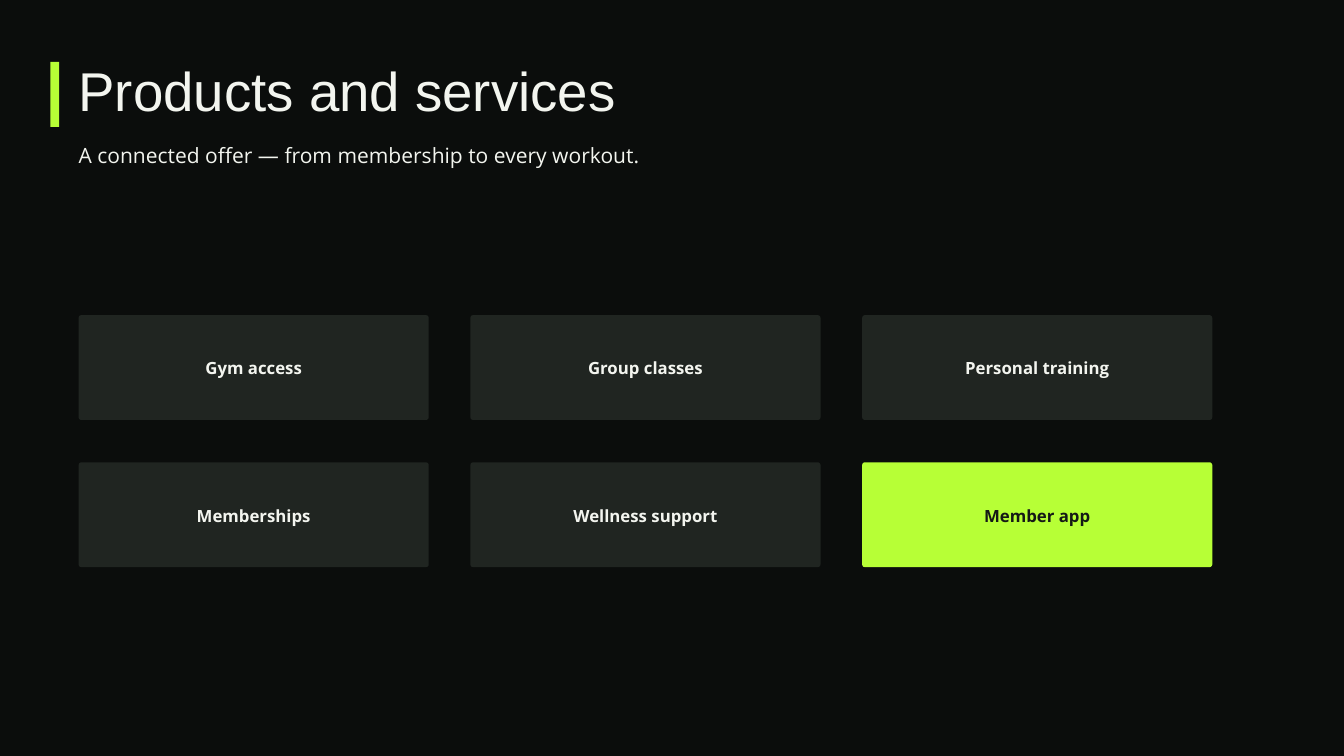
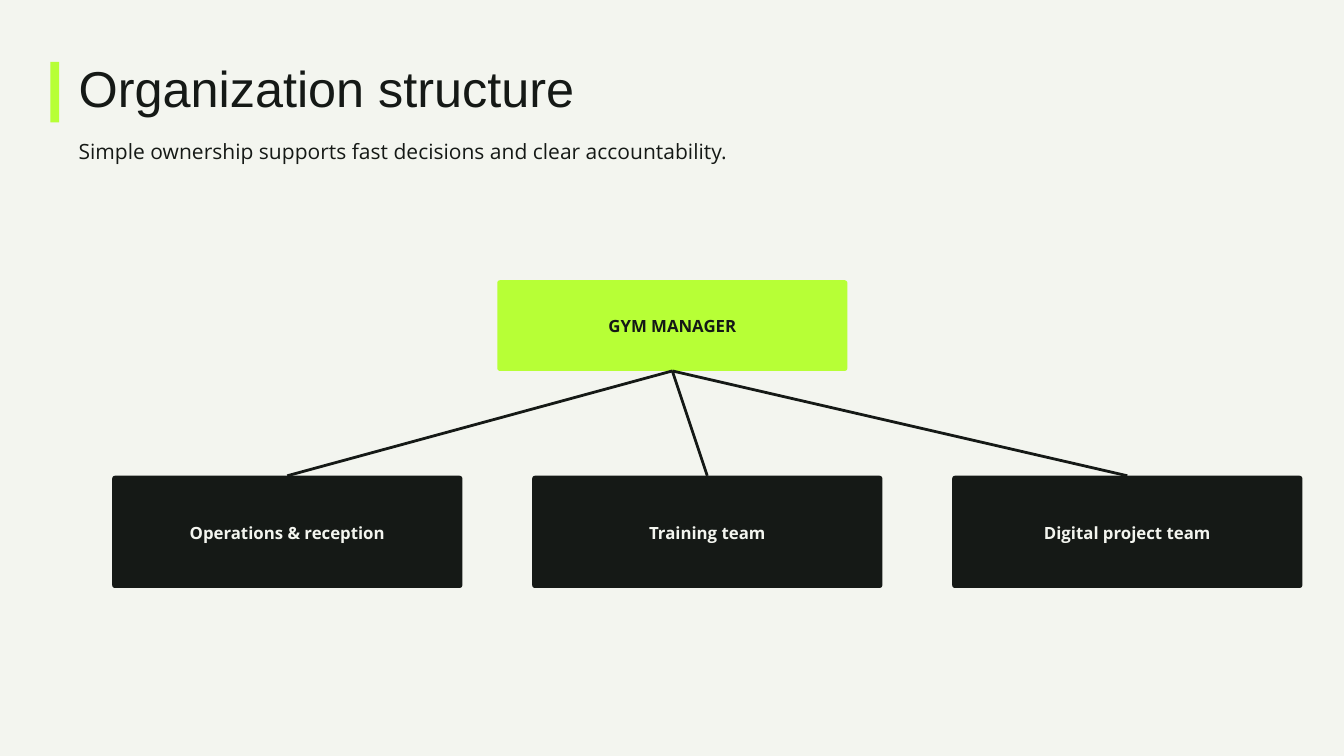
"""Build the gym's offer and organization slides."""
from dataclasses import dataclass

from lxml.etree import SubElement
from pptx import Presentation
from pptx.dml.color import RGBColor
from pptx.enum.shapes import MSO_CONNECTOR, MSO_SHAPE
from pptx.enum.text import MSO_ANCHOR, MSO_AUTO_SIZE, PP_ALIGN
from pptx.oxml.ns import qn
from pptx.shapes.autoshape import Shape
from pptx.slide import Slide
from pptx.text.text import TextFrame
from pptx.util import Inches, Pt

COLORS = {
    "night": "0B0D0C",
    "ink": "151916",
    "slate": "202521",
    "paper": "F3F5EF",
    "lime": "B7FF36",
}
TITLE_FONT = "Arial"
BODY_FONT = "Open Sans"
MARGIN = 1.17
CARD_WIDTH = 5.21
CORNER = 0.04


@dataclass(frozen=True)
class Heading:
    title: str
    subtitle: str
    color: str
    size: float
    leading: float
    title_top: float
    title_height: float
    subtitle_top: float
    accent_height: float


@dataclass(frozen=True)
class Card:
    label: str
    left: float
    top: float
    height: float
    fill: str
    color: str


def rgb(name: str) -> RGBColor:
    return RGBColor.from_string(COLORS[name])


def write(frame: TextFrame, text: str, *, size: float, leading: float, color: str,
          font: str = BODY_FONT, bold: bool = False,
          align: PP_ALIGN = PP_ALIGN.LEFT) -> None:
    frame.word_wrap = True
    paragraph = frame.paragraphs[0]
    paragraph.alignment = align
    paragraph.line_spacing = Pt(leading)
    run = paragraph.add_run()
    run.text = text
    run.font.name = font
    run.font.size = Pt(size)
    run.font.bold = bold
    run.font.color.rgb = rgb(color)


def set_insets(frame: TextFrame, side: float, top: float, bottom: float) -> None:
    frame.margin_left = frame.margin_right = Inches(side)
    frame.margin_top = Inches(top)
    frame.margin_bottom = Inches(bottom)


def add_block(slide: Slide, preset: MSO_SHAPE, left: float, top: float,
              width: float, height: float, fill: str) -> Shape:
    block = slide.shapes.add_shape(
        preset, Inches(left), Inches(top), Inches(width), Inches(height))
    block.shadow.inherit = False
    block.fill.solid()
    block.fill.fore_color.rgb = rgb(fill)
    block.line.fill.background()
    return block


def add_line_of_text(slide: Slide, text: str, top: float, width: float, height: float,
                     **style) -> None:
    frame = slide.shapes.add_textbox(
        Inches(MARGIN), Inches(top), Inches(width), Inches(height)).text_frame
    set_insets(frame, 0, 0, 0)
    frame.auto_size = MSO_AUTO_SIZE.SHAPE_TO_FIT_TEXT
    write(frame, text, **style)


def add_slide(deck: Presentation, background: str, heading: Heading) -> Slide:
    slide = deck.slides.add_slide(deck.slide_layouts[6])
    slide.background.fill.solid()
    slide.background.fill.fore_color.rgb = rgb(background)
    add_line_of_text(slide, heading.title, heading.title_top, 15.62, heading.title_height,
                     size=heading.size, leading=heading.leading,
                     color=heading.color, font=TITLE_FONT)
    add_line_of_text(slide, heading.subtitle, heading.subtitle_top, 13.33, 0.4,
                     size=22.5, leading=30.4, color=heading.color)
    add_block(slide, MSO_SHAPE.RECTANGLE, 0.75, 0.92, 0.13, heading.accent_height, "lime")
    return slide


def add_card(slide: Slide, card: Card) -> Shape:
    box = add_block(slide, MSO_SHAPE.ROUNDED_RECTANGLE,
                    card.left, card.top, CARD_WIDTH, card.height, card.fill)
    box.adjustments[0] = CORNER / card.height
    frame = box.text_frame
    frame.vertical_anchor = MSO_ANCHOR.MIDDLE
    set_insets(frame, 0.06, 0.03, 0.06)
    write(frame, card.label, size=18, leading=25.2, color=card.color,
          bold=True, align=PP_ALIGN.CENTER)
    return box


def add_report(slide: Slide, manager: Shape, team: Card) -> None:
    link = slide.shapes.add_connector(MSO_CONNECTOR.STRAIGHT, 0, 0, 0, 0)
    link.line.color.rgb = rgb("ink")
    link.line.width = Pt(3)
    SubElement(link._element.spPr, qn("a:effectLst"))
    link.begin_connect(manager, 2)
    link.end_connect(add_card(slide, team), 0)


def build_services(deck: Presentation) -> None:
    slide = add_slide(deck, "night", Heading(
        "Products and services", "A connected offer — from membership to every workout.",
        "paper", 58.5, 59.7, 1, 0.86, 2.08, 0.97))
    services = ("Gym access", "Group classes", "Personal training",
                "Memberships", "Wellness support", "Member app")
    for index, service in enumerate(services):
        row, column = divmod(index, 3)
        fill, color = ("lime", "ink") if service == "Member app" else ("slate", "paper")
        add_card(slide, Card(service, MARGIN + column * 5.83, 4.69 + row * 2.19,
                             1.56, fill, color))


def build_organization(deck: Presentation) -> None:
    slide = add_slide(deck, "paper", Heading(
        "Organization structure",
        "Simple ownership supports fast decisions and clear accountability.",
        "ink", 54, 55.1, 0.99, 0.8, 2.01, 0.9))
    manager = add_card(slide, Card("GYM MANAGER", 7.4, 4.17, 1.35, "lime", "ink"))
    teams = ("Operations & reception", "Training team", "Digital project team")
    for column, team in enumerate(teams):
        add_report(slide, manager,
                   Card(team, 1.67 + column * 6.25, 7.08, 1.67, "ink", "paper"))


def main() -> None:
    deck = Presentation()
    deck.slide_width = Inches(20)
    deck.slide_height = Inches(11.25)
    build_services(deck)
    build_organization(deck)
    deck.save("out.pptx")


if __name__ == "__main__":
    main()
